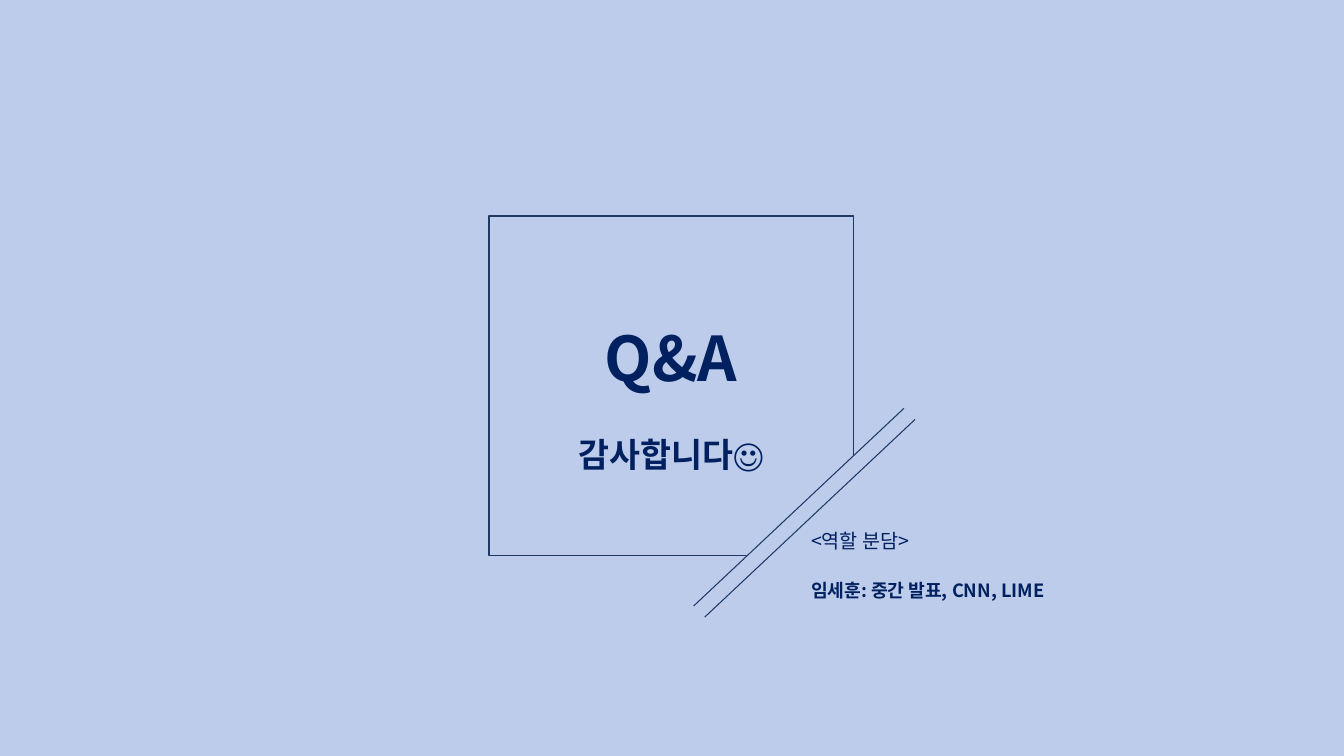
from lxml import etree
from pptx import Presentation
from pptx import util as u
from pptx.dml.color import RGBColor
from pptx.enum import shapes, text
from pptx.oxml.ns import qn

HUES = {"back": "BCCCEA", "line": "203864", "ink": "002060", "edge": "FFFFFF"}


def hue(name):
    return RGBColor.from_string(HUES[name])


class Deck:
    font = "Noto Sans CJK KR"

    def __init__(self, wide, high):
        self.prs = Presentation()
        self.prs.slide_width, self.prs.slide_height = u.Cm(wide), u.Cm(high)
        self.slide = self.prs.slides.add_slide(self.prs.slide_layouts[6])
        fill = self.slide.background.fill
        fill.solid()
        fill.fore_color.rgb = hue("back")

    def rect(self, box, fill=None, line=None, turn=0):
        shape = self.slide.shapes.add_shape(
            shapes.MSO_SHAPE.RECTANGLE, *map(u.Cm, box))
        shape.shadow.inherit = False
        shape.rotation = turn
        if fill:
            shape.fill.solid()
            shape.fill.fore_color.rgb = hue(fill)
        else:
            shape.fill.background()
        if line:
            shape.line.color.rgb = hue(line)
            shape.line.width = u.Pt(1)
        else:
            shape.line.fill.background()

    def line(self, *ends):
        line = self.slide.shapes.add_connector(
            shapes.MSO_CONNECTOR.STRAIGHT, *map(u.Cm, ends))
        line.line.color.rgb = hue("line")
        line.line.width = u.Pt(0.75)
        etree.SubElement(line._element.spPr, qn("a:effectLst"))

    def edge(self, run, alpha):
        """Give the letters a faint white outline."""
        ln = etree.Element(qn("a:ln"), w="9525")
        fill = etree.SubElement(ln, qn("a:solidFill"))
        tint = etree.SubElement(fill, qn("a:srgbClr"), val=HUES["edge"])
        etree.SubElement(tint, qn("a:alpha"), val=str(alpha * 1000))
        run._r.get_or_add_rPr().insert(0, ln)

    def words(self, box, rows, alpha, align, anchor):
        """Each row is wording, size, bold, line spacing, space before."""
        frame = self.slide.shapes.add_textbox(*map(u.Cm, box)).text_frame
        frame.word_wrap = True
        frame.vertical_anchor = anchor
        frame.text = "\n".join(row[0] for row in rows)
        for para, (_, size, bold, lead, gap) in zip(frame.paragraphs, rows):
            para.alignment = align
            para.line_spacing = lead
            if gap:
                para.space_before = u.Pt(gap)
            for run in para.runs:
                font = run.font
                font.name, font.size, font.bold = self.font, u.Pt(size), bold
                font.color.rgb = hue("ink")
                latin = run._r.rPr.find(qn("a:latin"))
                latin.addnext(etree.Element(qn("a:ea"), typeface=self.font))
                if bold:
                    self.edge(run, alpha)


def main():
    deck = Deck(33.87, 19.05)

    # Closing words
    deck.words((12.32, 6.2, 9.19, 5.74),
               [("Q&A", 44, True, 2.0, 0), ("감사합니다☺", 24, True, 2.0, 0)],
               30, text.PP_ALIGN.CENTER, text.MSO_ANCHOR.MIDDLE)

    # Frame, with its lower right corner covered
    deck.rect((12.32, 5.44, 9.19, 8.56), line="line")
    for left, top, turn in ((19.99, 11.48, 0), (19.41, 12.09, 90)):
        deck.rect((left, top, 2.59, 3.78), fill="back", turn=turn)

    # Slanted pair of lines
    for step in (0, 0.28):
        deck.line(22.78 + step, 10.29 + step, 17.48 + step, 15.27 + step)

    # Roles
    deck.words((20.19, 13.21, 11.89, 2.24),
               [("<역할 분담>", 14, False, 1.0, 0),
                ("임세훈: 중간 발표, CNN, LIME", 13, True, 1.5, 11)],
               20, text.PP_ALIGN.LEFT, text.MSO_ANCHOR.TOP)

    deck.prs.save("out.pptx")


if __name__ == "__main__":
    main()
